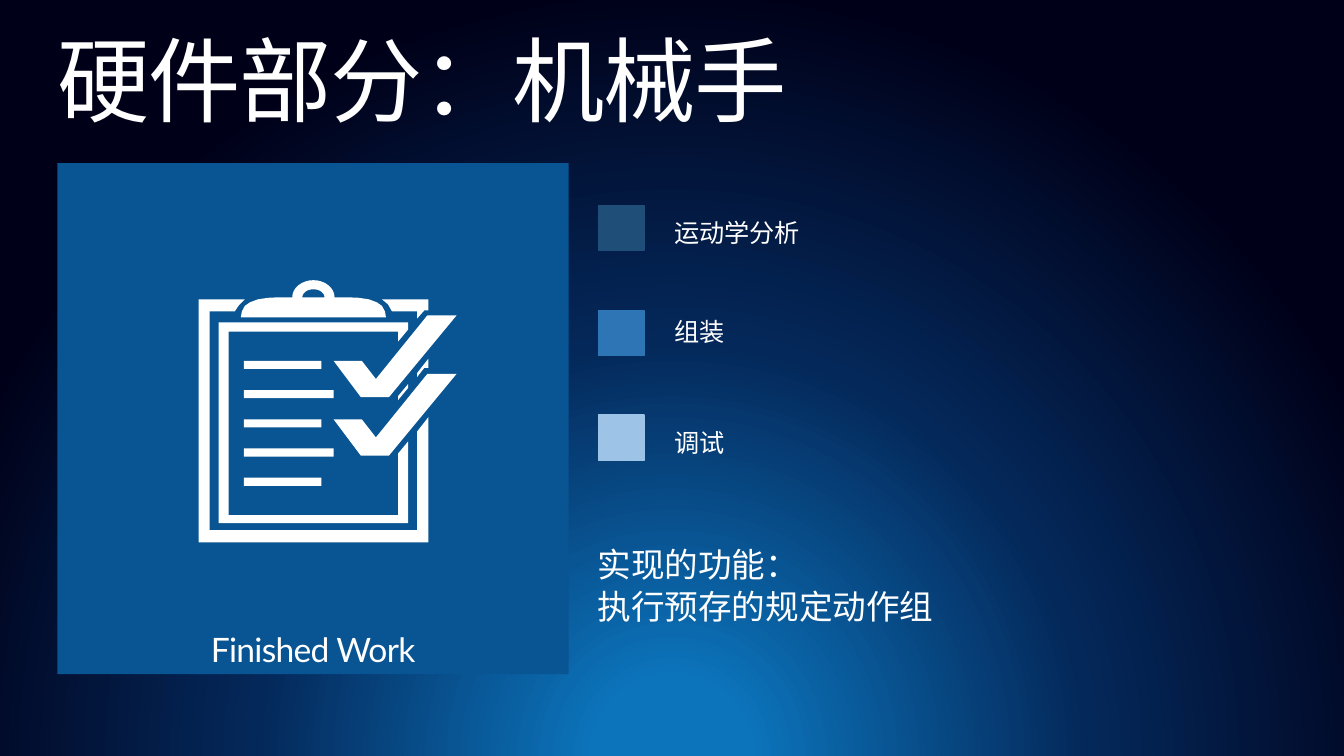
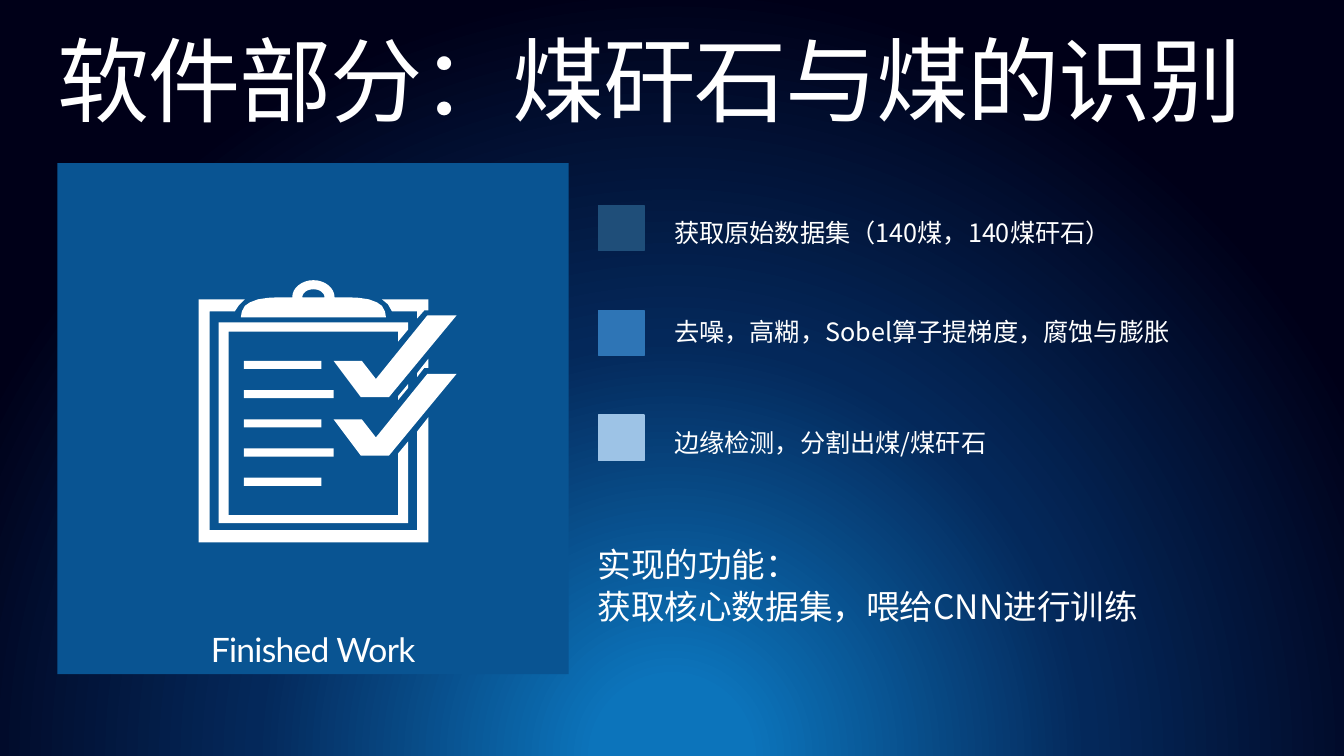
import math

import pptx
import pptx.dml.color
import pptx.enum.shapes
import pptx.enum.text
import pptx.oxml
import pptx.oxml.ns
import pptx.util

Cm = pptx.util.Cm
Pt = pptx.util.Pt

WHITE = "FFFFFF"
PANEL_BLUE = "095492"
SWATCHES = ["1F4E79", "2E75B6", "9DC3E6"]
BACKDROP = [(10, "0C74BB"), (54, "04285A"), (100, "000018")]
LATIN_FONT = "Lato"
CHINESE_FONT = "Noto Sans CJK SC"

# Shared layout, in centimetres
PAGE_WIDTH, PAGE_HEIGHT = 33.87, 19.05
MARGIN = 1.45
PANEL_TOP, PANEL_SIZE = 4.11, 12.88
SWATCH_LEFT, SWATCH_TOP, SWATCH_SIZE, SWATCH_STEP = 15.09, 5.18, 1.14, 2.64
LABEL_LEFT, LABEL_WIDTH = 16.99, 12.57
LABEL_TOPS = [5.18, 7.67, 10.46]

# Clipboard icon, in hundredths of an inch from the page corner
ICON_AXIS = 311
FRAMES = [
    [(414, 526), (208, 526), (208, 309), (233, 309), (237, 303), (243, 297),
     (197, 297), (197, 538), (425, 538), (425, 414), (414, 428)],
    [(395, 511), (227, 511), (227, 329), (395, 329), (395, 339), (405, 327),
     (405, 320), (217, 320), (217, 519), (405, 519), (405, 438), (395, 450)],
    [(421, 308), (425, 308), (425, 297), (379, 297), (385, 302), (389, 309),
     (414, 309), (414, 316)],
    [(414, 374), (421, 365), (425, 365), (425, 356), (414, 370)],
    [(405, 381), (395, 393), (395, 397), (405, 385)],
]
CHECK = [(453, 313), (386, 394), (358, 394), (331, 358), (359, 358),
         (373, 376), (424, 313)]
CLIP_SHOULDER = [(239, 315), (240, 309), (243, 303.5), (248, 300),
                 (256, 297), (266, 295.5), (277, 295)]


def color(code):
    return pptx.dml.color.RGBColor.from_string(code)


def arch(width, height, steps=16):
    """Half ellipse over the icon axis, from left to right."""
    angles = [math.pi * (1 - i / steps) for i in range(steps + 1)]
    return [(ICON_AXIS + width * math.cos(a), 295 - height * math.sin(a))
            for a in angles]


def icon_outlines():
    bars = []
    for row in range(5):
        top, right = 358 + 29 * row, 331 if row % 2 else 319
        bars.append([(242, top), (right, top), (right, top + 8), (242, top + 8)])
    checks = [[(x, y + shift) for x, y in CHECK] for shift in (0, 58)]
    mirrored = [(2 * ICON_AXIS - x, y) for x, y in reversed(CLIP_SHOULDER)]
    clip = CLIP_SHOULDER + arch(21, 17) + mirrored
    return FRAMES + bars + checks + [clip, arch(11, 8)]


class Presenter:
    """Holds the style and the current page."""

    def __init__(self):
        self.deck = pptx.Presentation()
        self.deck.slide_width = Cm(PAGE_WIDTH)
        self.deck.slide_height = Cm(PAGE_HEIGHT)
        self.page = None
        self.backdrop()

    def backdrop(self):
        """Put the radial gradient on the master, for every page."""
        master = self.deck.slide_master
        master.background.fill.gradient()
        old = master.element.find(".//" + pptx.oxml.ns.qn("a:gradFill"))
        stops = "".join(
            f'<a:gs pos="{place * 1000}"><a:srgbClr val="{code}"/></a:gs>'
            for place, code in BACKDROP)
        new = pptx.oxml.parse_xml(
            f'<a:gradFill {pptx.oxml.ns.nsdecls("a")} rotWithShape="1">'
            f'<a:gsLst>{stops}</a:gsLst><a:path path="circle">'
            '<a:fillToRect l="50000" t="130000" r="50000" b="-30000"/>'
            '</a:path></a:gradFill>')
        old.getparent().replace(old, new)

    def new_page(self):
        self.page = self.deck.slides.add_slide(self.deck.slide_layouts[6])

    def fill_text(self, frame, text, size, font, tracking=0, spacing=None, align=None):
        frame.word_wrap = True
        frame.text = text
        for para in frame.paragraphs:
            para.line_spacing = spacing
            para.alignment = align
            for span in para.runs:
                span.font.size = Pt(size)
                span.font.name = font
                span.font.color.rgb = color(WHITE)
                properties = span._r.get_or_add_rPr()
                if tracking:
                    properties.set("spc", str(int(tracking * 100)))
                east_asian = pptx.oxml.parse_xml(
                    f'<a:ea {pptx.oxml.ns.nsdecls("a")} typeface="{CHINESE_FONT}"/>')
                properties.find(pptx.oxml.ns.qn("a:latin")).addnext(east_asian)

    def text(self, left, top, width, height, text, size, font=CHINESE_FONT,
             spacing=Pt(30), tracking=0):
        box = self.page.shapes.add_textbox(Cm(left), Cm(top), Cm(width), Cm(height))
        frame = box.text_frame
        frame.margin_left = frame.margin_right = 0
        frame.margin_top = frame.margin_bottom = 0
        self.fill_text(frame, text, size, font, tracking, spacing)
        return frame

    def title(self, text):
        frame = self.text(MARGIN, 1.12, 30.96, 2.08, text, 66, LATIN_FONT, 0.9, -1)
        frame.vertical_anchor = pptx.enum.text.MSO_ANCHOR.MIDDLE

    def paint(self, shape, fill, line=None):
        shape.shadow.inherit = False
        shape.fill.solid()
        shape.fill.fore_color.rgb = color(fill)
        if line:
            shape.line.color.rgb = color(line)
            shape.line.width = Pt(1)
        else:
            shape.line.fill.background()

    def square(self, shapes, left, top, size, fill, line=None):
        shape = shapes.add_shape(pptx.enum.shapes.MSO_SHAPE.RECTANGLE,
                                 Cm(left), Cm(top), Cm(size), Cm(size))
        self.paint(shape, fill, line)
        return shape

    def icon(self, shapes):
        # Ten drawing units per hundredth of an inch keep the arches smooth
        outlines = [[(x * 10, y * 10) for x, y in outline]
                    for outline in icon_outlines()]
        builder = shapes.build_freeform(*outlines[0][0], scale=Cm(2.54) / 1000)
        for number, outline in enumerate(outlines):
            if number:
                builder.move_to(*outline[0])
            builder.add_line_segments(outline[1:], close=True)
        self.paint(builder.convert_to_shape(), WHITE)

    def panel(self, caption):
        group = self.page.shapes.add_group_shape()
        tile = self.square(group.shapes, MARGIN, PANEL_TOP, PANEL_SIZE, PANEL_BLUE)
        tile.text_frame.vertical_anchor = pptx.enum.text.MSO_ANCHOR.BOTTOM
        self.fill_text(tile.text_frame, caption, 24, LATIN_FONT, -0.5,
                       align=pptx.enum.text.PP_ALIGN.CENTER)
        self.icon(group.shapes)

    def steps(self, labels):
        for row, (label, top, fill) in enumerate(zip(labels, LABEL_TOPS, SWATCHES)):
            self.square(self.page.shapes, SWATCH_LEFT, SWATCH_TOP + row * SWATCH_STEP,
                        SWATCH_SIZE, fill, fill)
            self.text(LABEL_LEFT, top, LABEL_WIDTH, 1.3, label, 18)

    def result(self, text):
        self.text(15.06, 13.67, 15.42, 3.73, "实现的功能：\n" + text, 24)


PAGES = [
    ("硬件部分：机械手",
     ["运动学分析", "组装", "调试"],
     "执行预存的规定动作组"),
    ("软件部分：煤矸石与煤的识别",
     ["获取原始数据集（140煤，140煤矸石）",
      "去噪，高糊，Sobel算子提梯度，腐蚀与膨胀",
      "边缘检测，分割出煤/煤矸石"],
     "获取核心数据集，喂给CNN进行训练"),
]


def main():
    presenter = Presenter()
    for title, labels, result in PAGES:
        presenter.new_page()
        presenter.title(title)
        presenter.panel("Finished Work")
        presenter.steps(labels)
        presenter.result(result)
    presenter.deck.save("out.pptx")


if __name__ == "__main__":
    main()
